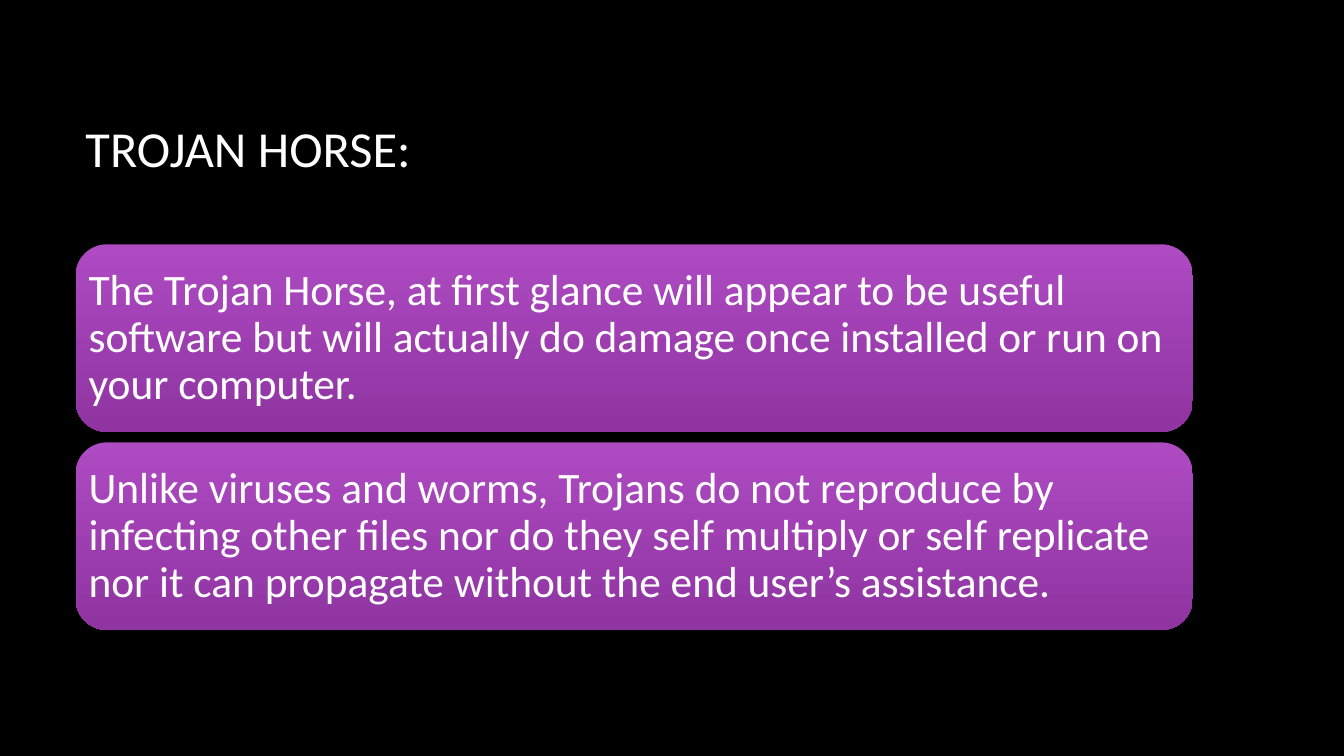
"""Builds the Trojan horse slide: a title above two stacked gradient cards."""
from pptx import Presentation
from pptx.dml.color import RGBColor
from pptx.enum import shapes, text
from pptx.util import Pt

CARDS = [
    "The Trojan Horse, at first glance will appear to be useful software but "
    "will actually do damage once installed or run on your computer.",
    "Unlike viruses and worms, Trojans do not reproduce by infecting other files "
    "nor do they self multiply or self replicate nor it can propagate without "
    "the end user’s assistance.",
]


def rgb(value):
    return RGBColor.from_string(value)


def write(tf, words, size, inset=7.2, spacing=1.0, color="FFFFFF"):
    tf.word_wrap = True
    tf.vertical_anchor = text.MSO_ANCHOR.MIDDLE
    tf.margin_left = tf.margin_right = Pt(inset)
    p = tf.paragraphs[0]
    p.alignment = text.PP_ALIGN.LEFT
    p.line_spacing = spacing
    r = p.add_run()
    r.text = words
    r.font.name, r.font.size = "Calibri", Pt(size)
    r.font.color.rgb = rgb(color)


def add_title(s, words, x, y, w, h):
    tb = s.shapes.add_textbox(Pt(x), Pt(y), Pt(w), Pt(h))
    write(tb.text_frame, words, 36)


def add_cards(s, cards, x, y, w, h, gap):
    card_h = (h - gap * (len(cards) - 1)) / len(cards)
    for i, words in enumerate(cards):
        top = y + i * (card_h + gap)
        sp = s.shapes.add_shape(shapes.MSO_SHAPE.ROUNDED_RECTANGLE,
                                Pt(x), Pt(top), Pt(w), Pt(card_h))
        sp.shadow.inherit = False
        sp.line.fill.background()
        sp.fill.gradient()
        sp.fill.gradient_angle = 270
        for stop, color in zip(sp.fill.gradient_stops, ("AE4AC2", "8F34A1")):
            stop.color.rgb = rgb(color)
        write(sp.text_frame, words, 31, inset=2.8, spacing=0.9)


prs = Presentation()
prs.slide_width, prs.slide_height = Pt(960), Pt(540)
s = prs.slides.add_slide(prs.slide_layouts[6])
s.background.fill.solid()
s.background.fill.fore_color.rgb = rgb("000000")
add_title(s, "TROJAN HORSE:", 54, 48, 798, 115)
add_cards(s, CARDS, 54, 174.5, 798, 275.5, gap=7.5)
prs.save("out.pptx")
